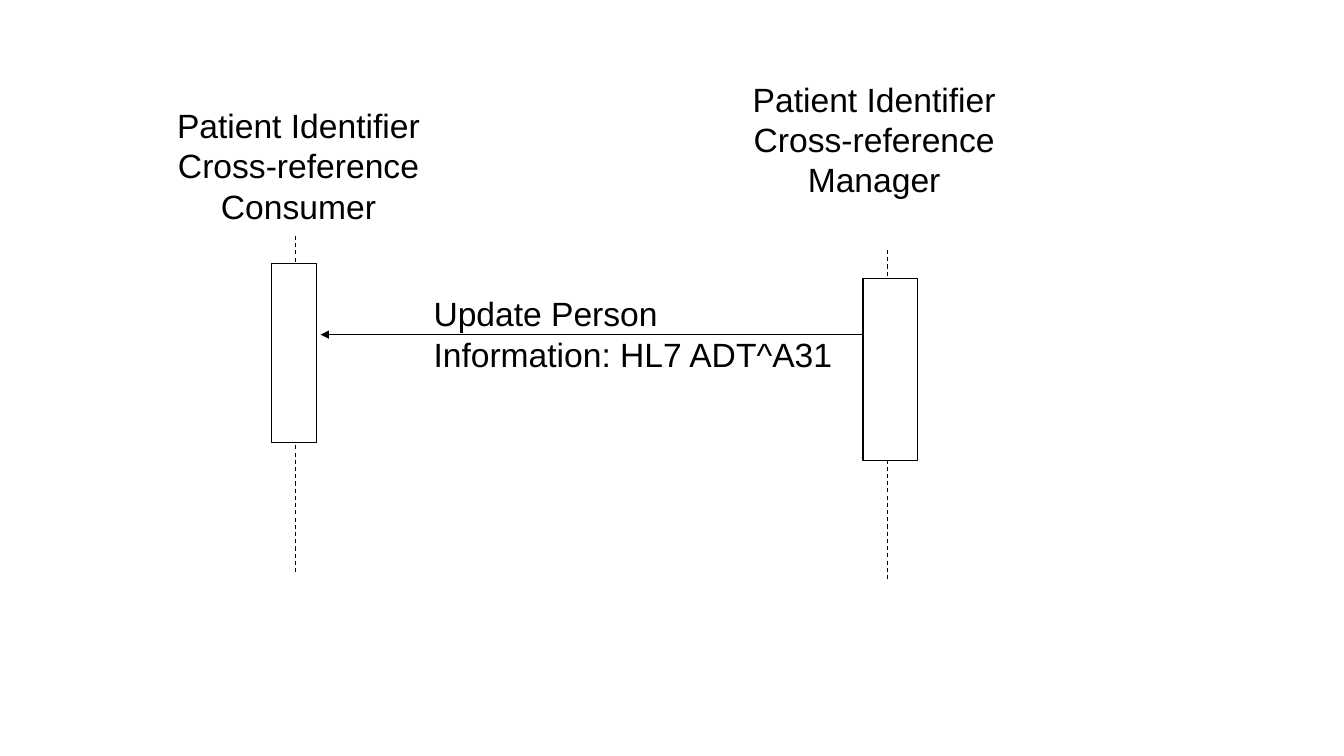
import pptx
import pptx.util
import pptx.dml.color
import pptx.enum.dml
import pptx.enum.shapes
import pptx.enum.text
import pptx.oxml.ns
import lxml.etree

Inches = pptx.util.Inches
Pt = pptx.util.Pt
COLORS = {"ink": "000000", "paper": "FFFFFF"}
ALIGN = pptx.enum.text.PP_ALIGN


def rgb(name):
    return pptx.dml.color.RGBColor.from_string(COLORS[name])


def add_text(slide, box, text, align):
    sp = slide.shapes.add_textbox(*map(Inches, box))
    tf = sp.text_frame
    tf.word_wrap = True
    tf.margin_left = tf.margin_top = tf.margin_right = tf.margin_bottom = 0
    p = tf.paragraphs[0]
    p.alignment = align
    r = p.add_run()
    r.text = text
    r.font.name = "Arial"
    r.font.size = Pt(24)
    r.font.color.rgb = rgb("ink")


def add_line(slide, x1, y1, x2, y2):
    cx = slide.shapes.add_connector(
        pptx.enum.shapes.MSO_CONNECTOR.STRAIGHT, *map(Inches, (x1, y1, x2, y2)))
    cx.line.color.rgb = rgb("ink")
    cx.line.width = Pt(0.75)
    lxml.etree.SubElement(cx._element.spPr, pptx.oxml.ns.qn("a:effectLst"))
    return cx


def add_lifeline(slide, box, name, axis, line_top, bar):
    left, top, width, height = box
    cx = add_line(slide, left + axis, top + line_top, left + axis, top + height)
    cx.line.dash_style = pptx.enum.dml.MSO_LINE.DASH
    bar_left, bar_top, bar_width, bar_height = bar
    sp = slide.shapes.add_shape(
        pptx.enum.shapes.MSO_SHAPE.RECTANGLE,
        *map(Inches, (left + bar_left, top + bar_top, bar_width, bar_height)))
    sp.shadow.inherit = False
    sp.fill.solid()
    sp.fill.fore_color.rgb = rgb("paper")
    sp.line.color.rgb = rgb("ink")
    sp.line.width = Pt(0.75)
    add_text(slide, (left, top, width, 1.44), name, ALIGN.CENTER)


def add_message(slide, box, text):
    left, top, width, height = box
    add_text(slide, (left + 1.12, top, 4, height), text, ALIGN.LEFT)
    y = top + 0.41
    cx = add_line(slide, left + width, y, left, y)
    ln = cx.line._get_or_add_ln()
    lxml.etree.SubElement(ln, pptx.oxml.ns.qn("a:tailEnd"), type="triangle")


def main():
    prs = pptx.Presentation()
    prs.slide_width = Inches(13.33)
    prs.slide_height = Inches(7.5)
    s = prs.slides.add_slide(prs.slide_layouts[6])
    add_lifeline(s, (1.49, 1.04, 2.94, 4.66),
                 "Patient Identifier Cross-reference Consumer",
                 1.44, 1.3, (1.2, 1.57, 0.45, 1.78))
    add_lifeline(s, (7.2, 0.78, 2.94, 4.99),
                 "Patient Identifier Cross-reference Manager",
                 1.6, 1.7, (1.36, 1.98, 0.54, 1.81))
    add_message(s, (3.18, 2.91, 5.38, 0.86),
                "Update Person Information: HL7 ADT^A31")
    prs.save("out.pptx")


if __name__ == "__main__":
    main()
